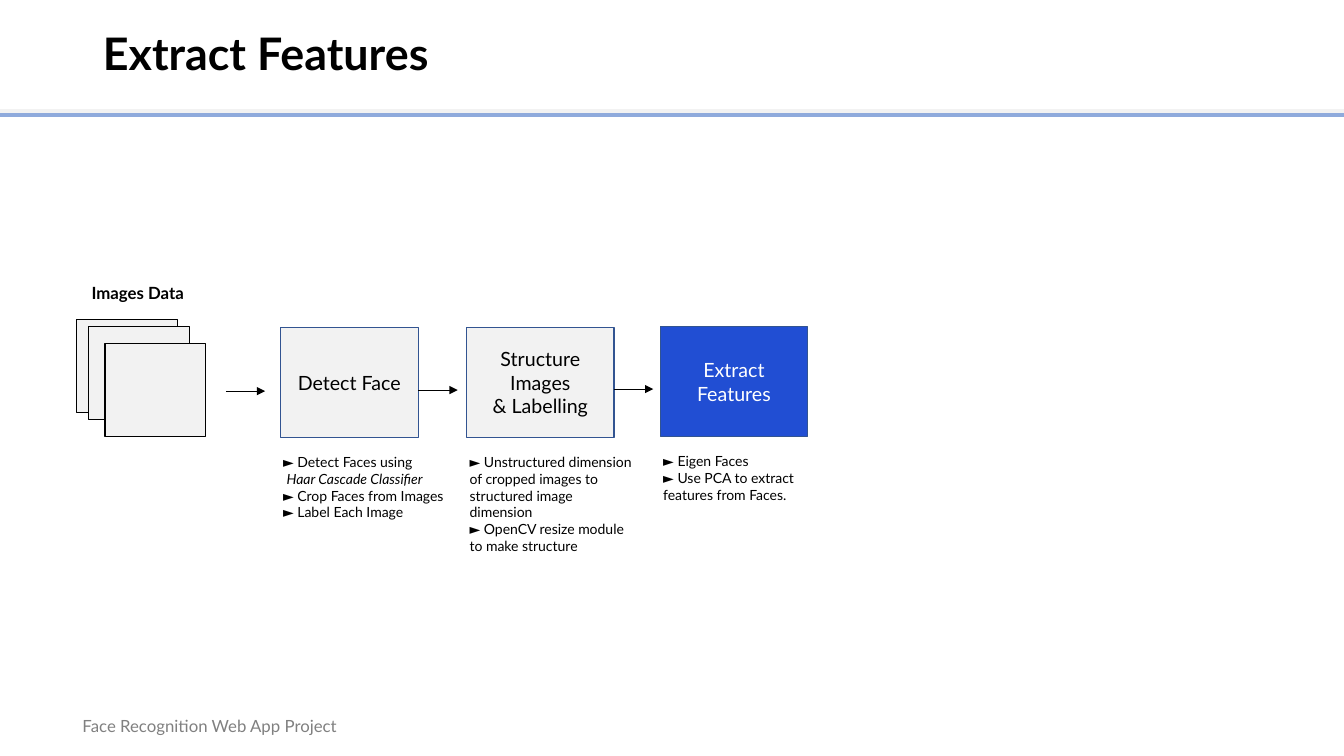
from dataclasses import dataclass

from lxml.etree import SubElement
from pptx import Presentation
from pptx.dml.color import RGBColor
from pptx.enum.shapes import MSO_CONNECTOR as CONNECTOR, MSO_SHAPE as SHAPE
from pptx.enum.text import MSO_ANCHOR as ANCHOR, PP_ALIGN as ALIGN
from pptx.oxml.ns import qn
from pptx.util import Inches, Pt

TITLE = "Extract Features"
FOOTER = "Face Recognition Web App Project"
SOURCE = "Images Data"

# Each step: left, top, width, whether it is the current one, label, notes.
# A note is a list of (text, italic) runs.
STEPS = [
    (2.78, 3.25, 1.37, False, ["Detect Face"], [
        [("► Detect Faces using", False)],
        [(" ", False), ("Haar Cascade Classifier", True)],
        [("► Crop Faces from Images", False)],
        [("► Label Each Image", False)],
    ]),
    (4.63, 3.25, 1.46, False, ["Structure Images", "& Labelling"], [
        [("► Unstructured dimension of cropped images to structured image dimension", False)],
        [("► OpenCV resize module to make structure", False)],
    ]),
    (6.55, 3.24, 1.46, True, ["Extract Features"], [
        [("► Eigen Faces", False)],
        [("► Use PCA to extract features from Faces.", False)],
    ]),
]
STEP_HEIGHT = 1.09
NOTE_WIDTH, NOTE_SHIFT, NOTE_DROP = 1.84, -0.07, 1.2
IMAGE_CARDS = [(0.76, 3.17), (0.88, 3.24), (1.04, 3.41)]
CARD_SIZE = (1, 0.92)
ARROW_STARTS = [(2.24, 3.88), (4.15, 3.87), (6.09, 3.86)]
ARROW_LENGTH = 0.39


@dataclass(frozen=True)
class Theme:
    font: str = "Lato"
    black: str = "000000"
    white: str = "FFFFFF"
    grey: str = "808080"
    pale: str = "F2F2F2"
    rule: str = "8FAADC"
    edge: str = "325491"
    accent: str = "214ED3"
    title: int = 32
    step: int = 14
    label: int = 12
    note: int = 10


T = Theme()


def style(p, size, color=T.black, bold=False, align=ALIGN.LEFT):
    p.alignment = align
    f = p.font
    f.name, f.size, f.bold = T.font, Pt(size), bold
    f.color.rgb = RGBColor.from_string(color)


def write(tf, paragraphs, size, **look):
    """Fill a text frame with paragraphs, each a list of (text, italic) runs."""
    for i, runs in enumerate(paragraphs):
        p = tf.paragraphs[0] if i == 0 else tf.add_paragraph()
        style(p, size, **look)
        for text, italic in runs:
            r = p.add_run()
            r.text = text
            if italic:
                r.font.italic = True


def add_text(slide, box, paragraphs, size, wrap=True, **look):
    tf = slide.shapes.add_textbox(*map(Inches, box)).text_frame
    tf.word_wrap = wrap
    write(tf, paragraphs, size, **look)


def add_box(shapes, box, fill, edge):
    s = shapes.add_shape(SHAPE.RECTANGLE, *map(Inches, box))
    s.shadow.inherit = False
    s.fill.solid()
    s.fill.fore_color.rgb = RGBColor.from_string(fill)
    s.line.color.rgb = RGBColor.from_string(edge)
    s.line.width = Pt(1)
    return s


def add_rule(slide, x, y, length, color, width, arrow=False):
    """Draw a horizontal line, with an arrowhead at its right end if asked."""
    c = slide.shapes.add_connector(CONNECTOR.STRAIGHT, *map(Inches, (x, y, x + length, y)))
    c.line.color.rgb = RGBColor.from_string(color)
    c.line.width = Pt(width)
    if arrow:
        SubElement(c.line._get_or_add_ln(), qn("a:tailEnd"), type="triangle")
    SubElement(c._element.spPr, qn("a:effectLst"))


def add_step(slide, left, top, width, current, label, notes):
    fill, color = (T.accent, T.white) if current else (T.pale, T.black)
    s = add_box(slide.shapes, (left, top, width, STEP_HEIGHT), fill, T.edge)
    tf = s.text_frame
    tf.word_wrap = True
    tf.vertical_anchor = ANCHOR.MIDDLE
    write(tf, [[(line, False)] for line in label], T.step, color=color, align=ALIGN.CENTER)
    note_box = (left + NOTE_SHIFT, top + NOTE_DROP, NOTE_WIDTH, 0.77)
    add_text(slide, note_box, notes, T.note)


def add_title(slide):
    s = slide.shapes.title
    s.left, s.top, s.width, s.height = map(Inches, (0.92, 0.1, 11.5, 0.92))
    tf = s.text_frame
    tf.vertical_anchor = ANCHOR.MIDDLE
    write(tf, [[(TITLE, False)]], T.title, bold=True)
    tf.paragraphs[0].line_spacing = 0.9


def main():
    prs = Presentation()
    prs.slide_width, prs.slide_height = Inches(13.33), Inches(7.5)
    slide = prs.slides.add_slide(prs.slide_layouts[5])

    add_text(slide, (0.72, 7.05, 2.76, 0.3), [[(FOOTER, False)]], T.label, wrap=False, color=T.grey)
    for y, color in ((1.1, T.pale), (1.14, T.rule)):
        add_rule(slide, 0, y, 13.33, color, 3)
    add_title(slide)

    stack = slide.shapes.add_group_shape()
    for corner in IMAGE_CARDS:
        add_box(stack.shapes, corner + CARD_SIZE, T.pale, T.black)
    add_text(slide, (0.81, 2.76, 1.27, 0.3), [[(SOURCE, False)]], T.label, bold=True)

    for step in STEPS:
        add_step(slide, *step)
    for x, y in ARROW_STARTS:
        add_rule(slide, x, y, ARROW_LENGTH, T.black, 0.5, arrow=True)

    prs.save("out.pptx")


if __name__ == "__main__":
    main()
